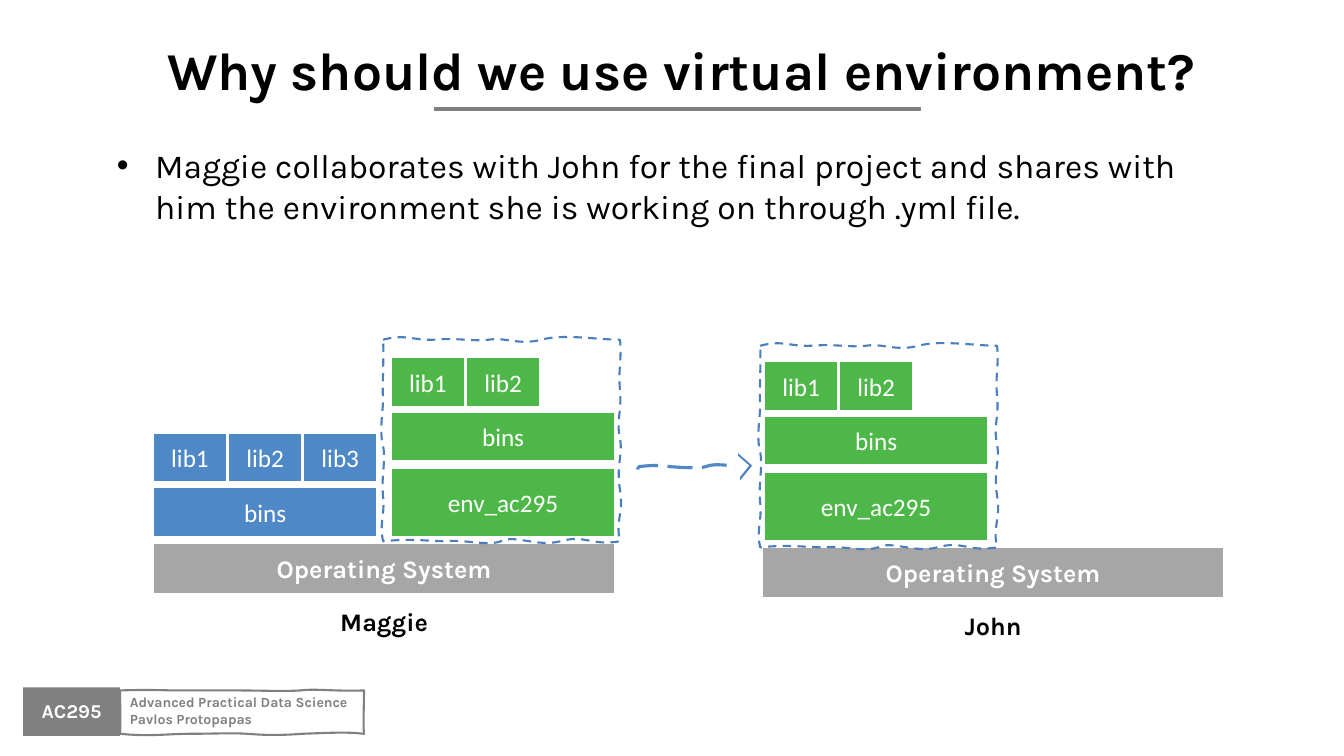
from lxml import etree
from pptx import Presentation
from pptx.dml.color import RGBColor
from pptx.enum.dml import MSO_LINE
from pptx.enum.shapes import MSO_CONNECTOR, MSO_SHAPE
from pptx.enum.text import MSO_ANCHOR, PP_ALIGN
from pptx.oxml.ns import qn
from pptx.util import Inches, Pt

RECTANGLE, TRIANGLE = MSO_SHAPE.RECTANGLE, MSO_SHAPE.ISOSCELES_TRIANGLE
STRAIGHT = MSO_CONNECTOR.STRAIGHT
DASH, LONG_DASH = MSO_LINE.DASH, MSO_LINE.LONG_DASH
LEFT, CENTER = PP_ALIGN.LEFT, PP_ALIGN.CENTER
TOP, MIDDLE = MSO_ANCHOR.TOP, MSO_ANCHOR.MIDDLE

WHITE, BLACK, GREY, SILVER = "FFFFFF", "000000", "808080", "A6A6A6"
BLUE, GREEN, FRAME_BLUE, TIP_BLUE = "4E88C7", "4DB848", "4B7EBC", "4F81BD"
OS_WIDTH, STACK_WIDTH, BLOCK_HEIGHT, ENV_HEIGHT = 4.6, 2.24, 0.5, 0.69
LIB_WIDTH = 0.75
LIB_PITCH = (STACK_WIDTH - LIB_WIDTH) / 2

# Hand-drawn outlines: a start point, then two handles and an end per curve
FRAME_CURVES = [
    (0, 0),
    (.23, -.06), (.29, .01), (.51, 0), (.74, -.02), (.91, .02), (1.05, 0),
    (1.19, -.03), (1.35, .06), (1.57, 0), (1.79, -.06), (2.12, 0), (2.35, 0),
    (2.37, .2), (2.33, .29), (2.35, .5), (2.37, .71), (2.31, .8), (2.35, .98),
    (2.38, 1.15), (2.31, 1.24), (2.35, 1.49), (2.39, 1.75), (2.3, 1.77), (2.35, 2),
    (2.07, 2.05), (2, 1.93), (1.76, 2), (1.52, 2.06), (1.31, 1.93), (1.17, 2),
    (1.03, 2.05), (.81, 1.98), (.63, 2), (.46, 2), (.28, 1.97), (0, 2),
    (-.04, 1.81), (.02, 1.75), (0, 1.55), (-.02, 1.36), (.03, 1.2), (0, 1.05),
    (-.04, .91), (0, .71), (0, .6), (-.01, .48), (.01, .16), (0, 0),
]
FOOTER_CURVES = [
    (0, 0),
    (.28, -.01), (.46, 0), (.58, 0), (.7, 0), (1.02, 0), (1.18, 0),
    (1.35, 0), (1.64, .01), (1.79, 0), (1.94, -.02), (2.12, .01), (2.42, 0),
    (2.42, .16), (2.41, .34), (2.42, .43), (2.24, .41), (2.09, .42), (1.81, .43),
    (1.54, .45), (1.4, .44), (1.26, .43), (1.11, .42), (.92, .43), (.7, .43),
    (.47, .43), (.3, .46), (0, .43), (.01, .32), (0, .12), (0, 0),
]
ARROW_CURVES = [
    (0, 0),
    (-.01, .06), (-.01, .15), (0, .29), (.07, .26), (.26, .27), (.34, .29),
    (.43, .31), (.53, .28), (.7, .29), (.87, .31), (.94, .31), (1, .29),
    (1, .21), (1, .13), (1, 0), (.84, -.02), (.74, -.03), (.67, 0),
    (.6, .02), (.45, .01), (.32, 0), (.2, -.02), (.1, -.01), (0, 0),
]


def rgb(color):
    return RGBColor.from_string(color)


def write(shape, lines, size, color, font="Karla", bold=False, align=CENTER, anchor=MIDDLE):
    frame = shape.text_frame
    frame.word_wrap = True
    frame.vertical_anchor = anchor
    for index, line in enumerate(lines):
        paragraph = frame.add_paragraph() if index else frame.paragraphs[0]
        paragraph.alignment = align
        run = paragraph.add_run()
        run.text = line
        run.font.name, run.font.size, run.font.bold = font, Pt(size), bold
        run.font.color.rgb = rgb(color)
    return frame


def add_text(slide, box, lines, size, color, **style):
    shape = slide.shapes.add_textbox(*map(Inches, box))
    return write(shape, lines, size, color, **style)


def add_solid(slide, box, fill, outline=None, kind=RECTANGLE, rotation=0):
    shape = slide.shapes.add_shape(kind, *map(Inches, box))
    shape.shadow.inherit = False
    shape.rotation = rotation
    shape.fill.solid()
    shape.fill.fore_color.rgb = rgb(fill)
    if outline:
        shape.line.color.rgb = rgb(outline)
        shape.line.width = Pt(2.25)
    else:
        shape.line.fill.background()
    return shape


def add_sketch(slide, left, top, curves, color, width, dash=None):
    points = [(Inches(left + x), Inches(top + y)) for x, y in curves]
    builder = slide.shapes.build_freeform(*points[0], scale=1.0)
    builder.add_line_segments(points[1:], close=True)
    shape = builder.convert_to_shape()
    # Turn every three straight segments into one cubic curve
    segments = list(shape._element.iter(qn("a:lnTo")))
    for index in range(0, len(segments), 3):
        curve = etree.Element(qn("a:cubicBezTo"))
        segments[index].addprevious(curve)
        for segment in segments[index:index + 3]:
            curve.append(segment[0])
            segment.getparent().remove(segment)
    shape.shadow.inherit = False
    shape.fill.background()
    shape.line.color.rgb = rgb(color)
    shape.line.width = Pt(width)
    if dash:
        shape.line.dash_style = dash
    return shape


def add_footer(slide, left, top):
    add_solid(slide, (left, top, 0.96, 0.48), GREY)
    code = add_text(slide, (0, top + 0.09, 1.42, 0.56), ["AC295"], 14, WHITE,
                    bold=True, anchor=TOP)
    code.paragraphs[0].line_spacing = 0.9
    label = add_sketch(slide, left + 0.96, top + 0.03, FOOTER_CURVES, GREY, 1.5)
    write(label, ["Advanced Practical Data Science", "Pavlos Protopapas"], 10, GREY,
          bold=True, align=LEFT, anchor=TOP)


def add_heading(slide, left, top, width):
    rule = slide.shapes.add_connector(STRAIGHT, Inches(4.3), Inches(1.08),
                                      Inches(9.13), Inches(1.08))
    rule.line.color.rgb = rgb(GREY)
    rule.line.width = Pt(3)
    etree.SubElement(rule._element.spPr, qn("a:effectLst"))
    add_text(slide, (left, top, width, 0.71), ["Why should we use virtual environment?"],
             38, BLACK, bold=True, anchor=TOP)


def add_bullet(slide, box, text):
    frame = add_text(slide, box, [text], 24, BLACK, align=LEFT, anchor=TOP)
    properties = frame.paragraphs[0]._p.get_or_add_pPr()
    properties.set("marL", str(Inches(0.38)))
    properties.set("indent", str(-Inches(0.38)))
    etree.SubElement(properties, qn("a:buFont"), typeface="Arial")
    etree.SubElement(properties, qn("a:buChar"), char="•")


def add_block(slide, box, text, fill):
    write(add_solid(slide, box, fill, WHITE), [text], 18, WHITE, font="Calibri")


def add_libraries(slide, left, bins_top, fill, count):
    """Place a bins block with its row of libraries above."""
    add_block(slide, (left, bins_top, STACK_WIDTH, BLOCK_HEIGHT), "bins", fill)
    for index in range(count):
        add_block(slide, (left + index * LIB_PITCH, bins_top - 0.54, LIB_WIDTH, BLOCK_HEIGHT),
                  f"lib{index + 1}", fill)


def add_environment(slide, left, os_top, frame_left, frame_top):
    add_block(slide, (left, os_top - 0.74, STACK_WIDTH, ENV_HEIGHT), "env_ac295", GREEN)
    add_libraries(slide, left, os_top - 1.3, GREEN, 2)
    add_sketch(slide, frame_left, frame_top, FRAME_CURVES, FRAME_BLUE, 1.5, DASH)


def add_computer(slide, left, top, owner):
    system = add_solid(slide, (left, top, OS_WIDTH, 0.52), SILVER, WHITE)
    write(system, ["Operating System"], 18, WHITE, bold=True)
    name = add_solid(slide, (left, top + 0.74, OS_WIDTH, 0.09), WHITE, WHITE)
    write(name, [owner], 18, BLACK, bold=True)


def add_sharing_arrow(slide, left, top):
    add_sketch(slide, left, top, ARROW_CURVES, BLUE, 2.25, LONG_DASH)
    # Only the upper edge of the sketched bar stays visible
    add_solid(slide, (left - 0.13, top + 0.03, 1.19, 0.34), WHITE)
    # A white triangle over the blue one leaves an open arrow tip
    for offset, fill in ((0.93, TIP_BLUE), (0.9, WHITE)):
        add_solid(slide, (left + offset, top - 0.07, 0.27, 0.13), fill,
                  kind=TRIANGLE, rotation=85.2)


def main():
    presentation = Presentation()
    presentation.slide_width, presentation.slide_height = Inches(13.33), Inches(7.5)
    slide = presentation.slides.add_slide(presentation.slide_layouts[6])

    add_footer(slide, 0.23, 6.82)
    add_heading(slide, 1.27, 0.32, 10.98)
    add_bullet(slide, (1.06, 1.39, 11.19, 0.91),
               "Maggie collaborates with John for the final project and shares with him "
               "the environment she is working on through .yml file.")

    # Maggie's computer, with her own libraries beside the environment
    add_computer(slide, 1.51, 5.38, "Maggie")
    add_libraries(slide, 1.51, 4.83, BLUE, 3)
    add_environment(slide, 3.87, 5.38, 3.8, 3.37)

    # John's computer, with the shared environment
    add_computer(slide, 7.55, 5.42, "John")
    add_environment(slide, 7.57, 5.42, 7.54, 3.43)
    add_sharing_arrow(slide, 6.33, 4.63)

    presentation.save("out.pptx")


if __name__ == "__main__":
    main()
